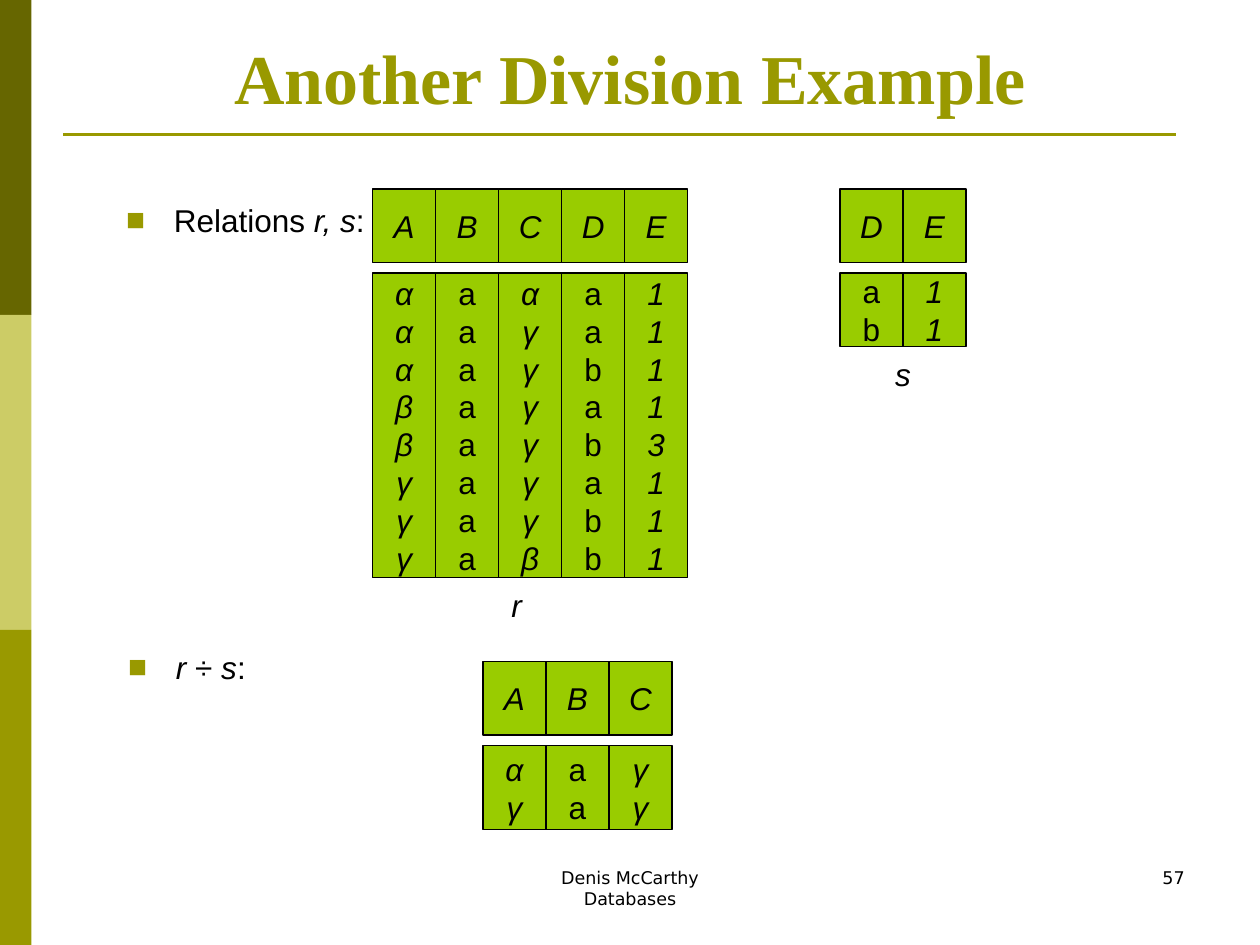
import pptx
import pptx.util
import pptx.dml.color
import pptx.enum.shapes
import pptx.enum.text
import pptx.oxml
import pptx.oxml.ns

RGBColor = pptx.dml.color.RGBColor
ALIGN = pptx.enum.text.PP_ALIGN
ANCHOR = pptx.enum.text.MSO_ANCHOR
SHAPES = pptx.enum.shapes.MSO_SHAPE

BLACK = RGBColor(0x00, 0x00, 0x00)
DARK_OLIVE = RGBColor(0x66, 0x66, 0x00)
PALE_OLIVE = RGBColor(0xCC, 0xCC, 0x66)
OLIVE = RGBColor(0x99, 0x99, 0x00)
LIME = RGBColor(0x99, 0xCC, 0x00)

COLUMNS, ROWS = 120, 90
UNIT = pptx.util.Inches(10) / COLUMNS
CELL_WIDTH, HEADER_HEIGHT, BODY_OFFSET = 6, 7, 8

TITLE_FONT = {"name": "Times New Roman", "size": pptx.util.Pt(40), "bold": True}
TEXT_FONT = {"name": "Arial", "size": pptx.util.Pt(18)}
FOOTER_FONT = {"name": "DejaVu Sans", "size": pptx.util.Pt(10)}


def grid(*lengths):
    """Turn grid columns and rows into slide lengths."""
    return [pptx.util.Emu(round(length * UNIT)) for length in lengths]


def apply(target, values):
    """Set each named attribute of the target."""
    for name, value in values.items():
        setattr(target, name, value)


def add_run(paragraph, text, font, color=BLACK, italic=False):
    """Add one formatted run to a paragraph."""
    run = paragraph.add_run()
    run.text = text
    apply(run.font, {**font, "italic": italic})
    run.font.color.rgb = color


def add_properties(paragraph, *elements):
    """Append drawing elements to the paragraph properties in order."""
    namespace = pptx.oxml.ns.nsdecls("a")
    for name, content in elements:
        xml = f"<a:{name} {namespace}>{content}</a:{name}>"
        paragraph._p.get_or_add_pPr().append(pptx.oxml.parse_xml(xml))


def write_lines(frame, lines, font, alignment, italic_rule):
    """Write one paragraph for each line of text."""
    for index, line in enumerate(lines):
        paragraph = frame.add_paragraph() if index else frame.paragraphs[0]
        paragraph.alignment = alignment
        add_run(paragraph, line, font, italic=italic_rule(line))


def add_box(slide, box, fill, line=None):
    """Add a flat rectangle, outlined when a line colour is given."""
    shape = slide.shapes.add_shape(SHAPES.RECTANGLE, *grid(*box))
    shape.shadow.inherit = False
    shape.fill.solid()
    shape.fill.fore_color.rgb = fill
    if line is None:
        shape.line.fill.background()
    else:
        shape.line.color.rgb = line
        shape.line.width = pptx.util.Pt(0.75)
    return shape


def add_frame(slide):
    """Draw the side bars and the rule under the title."""
    height = ROWS / 3
    for index, color in enumerate((DARK_OLIVE, PALE_OLIVE, OLIVE)):
        add_box(slide, (0, index * height, 3, height), color)
    rule = slide.shapes.add_connector(
        pptx.enum.shapes.MSO_CONNECTOR.STRAIGHT, *grid(6, 12.84, 112, 12.84))
    rule.line.color.rgb = OLIVE
    rule.line.width = pptx.util.Pt(1.5)
    rule._element.spPr.append(pptx.oxml.parse_xml(
        f"<a:effectLst {pptx.oxml.ns.nsdecls('a')}/>"))


def place(shape, box):
    """Move a placeholder to its box on the grid."""
    apply(shape, dict(zip(("left", "top", "width", "height"), grid(*box))))
    apply(shape.text_frame, {"word_wrap": True,
                             "auto_size": pptx.enum.text.MSO_AUTO_SIZE.NONE})


def add_title(slide, box, text):
    """Fill the title placeholder."""
    title = slide.shapes.title
    place(title, box)
    title.text_frame.vertical_anchor = ANCHOR.BOTTOM
    paragraph = title.text_frame.paragraphs[0]
    paragraph.alignment = ALIGN.CENTER
    add_run(paragraph, text, TITLE_FONT, OLIVE)


def add_bullet(placeholder, box, parts):
    """Fill a body placeholder with one square-bulleted line."""
    place(placeholder, box)
    paragraph = placeholder.text_frame.paragraphs[0]
    add_properties(paragraph,
                   ("spcBef", '<a:spcPct val="35000"/>'),
                   ("buClr", f'<a:srgbClr val="{OLIVE}"/>'))
    properties = paragraph._p.get_or_add_pPr()
    for name, value in (("buFont", ("typeface", "Arial")), ("buChar", ("char", "■"))):
        add_properties(paragraph, (name, ""))
        properties[-1].set(*value)
    indent = pptx.util.Inches(0.38)
    properties.set("marL", str(indent))
    properties.set("indent", str(-indent))
    for text, italic in parts:
        add_run(paragraph, text, TEXT_FONT, italic=italic)


def add_cell(slide, box, lines):
    """Draw one relation cell holding a stack of centred values."""
    shape = add_box(slide, box, LIME, BLACK)
    apply(shape.text_frame, {
        "word_wrap": False, "vertical_anchor": ANCHOR.MIDDLE,
        "margin_top": 0, "margin_bottom": 0})
    write_lines(shape.text_frame, lines, TEXT_FONT, ALIGN.CENTER,
                lambda line: line not in "ab")


def add_relation(slide, left, top, body_height, columns):
    """Draw a relation as header cells above columns of values."""
    for index, (header, values) in enumerate(columns):
        x = left + index * CELL_WIDTH
        add_cell(slide, (x, top, CELL_WIDTH, HEADER_HEIGHT), header)
        add_cell(slide, (x, top + BODY_OFFSET, CELL_WIDTH, body_height), values)


def add_text(slide, box, lines, font, alignment):
    """Add a plain wrapped text box."""
    frame = slide.shapes.add_textbox(*grid(*box)).text_frame
    frame.word_wrap = True
    write_lines(frame, lines, font, alignment, lambda line: False)


def add_label(slide, box, text):
    """Name a relation underneath its cells."""
    frame = slide.shapes.add_textbox(*grid(*box)).text_frame
    apply(frame, {"word_wrap": False, "vertical_anchor": ANCHOR.MIDDLE})
    paragraph = frame.paragraphs[0]
    paragraph.alignment = ALIGN.CENTER
    add_properties(paragraph, ("spcBef", '<a:spcPct val="50000"/>'))
    add_run(paragraph, text, TEXT_FONT, italic=True)


def main():
    """Build the division example slide."""
    presentation = pptx.Presentation()
    presentation.slide_width, presentation.slide_height = grid(COLUMNS, ROWS)
    slide = presentation.slides.add_slide(presentation.slide_layouts[3])
    add_frame(slide)
    add_title(slide, (6, 3.6, 108, 8.3), "Another Division Example")
    add_bullet(slide.placeholders[1], (10.8, 18.5, 28, 4.3),
               [("Relations ", False), ("r, s", True), (":", False)])
    add_bullet(slide.placeholders[2], (11, 61.1, 17, 4.3),
               [("r ", True), ("÷ ", False), ("s", True), (":", False)])
    add_relation(slide, 35.5, 18, 29, [
        ("A", "αααββγγγ"), ("B", "aaaaaaaa"), ("C", "αγγγγγγβ"),
        ("D", "aabababb"), ("E", "11113111")])
    add_relation(slide, 80, 18, 7, [("D", "ab"), ("E", "11")])
    add_relation(slide, 46, 63, 8, [("A", "αγ"), ("B", "aa"), ("C", "γγ")])
    add_label(slide, (47.5, 55.2, 3.4, 4.8), "r")
    add_label(slide, (84, 33.2, 4, 4.8), "s")
    add_text(slide, (41, 82, 38, 6), ["Denis McCarthy", "Databases"],
             FOOTER_FONT, ALIGN.CENTER)
    add_text(slide, (86, 82, 28, 6), ["57"], FOOTER_FONT, ALIGN.RIGHT)
    presentation.save("out.pptx")


if __name__ == "__main__":
    main()
